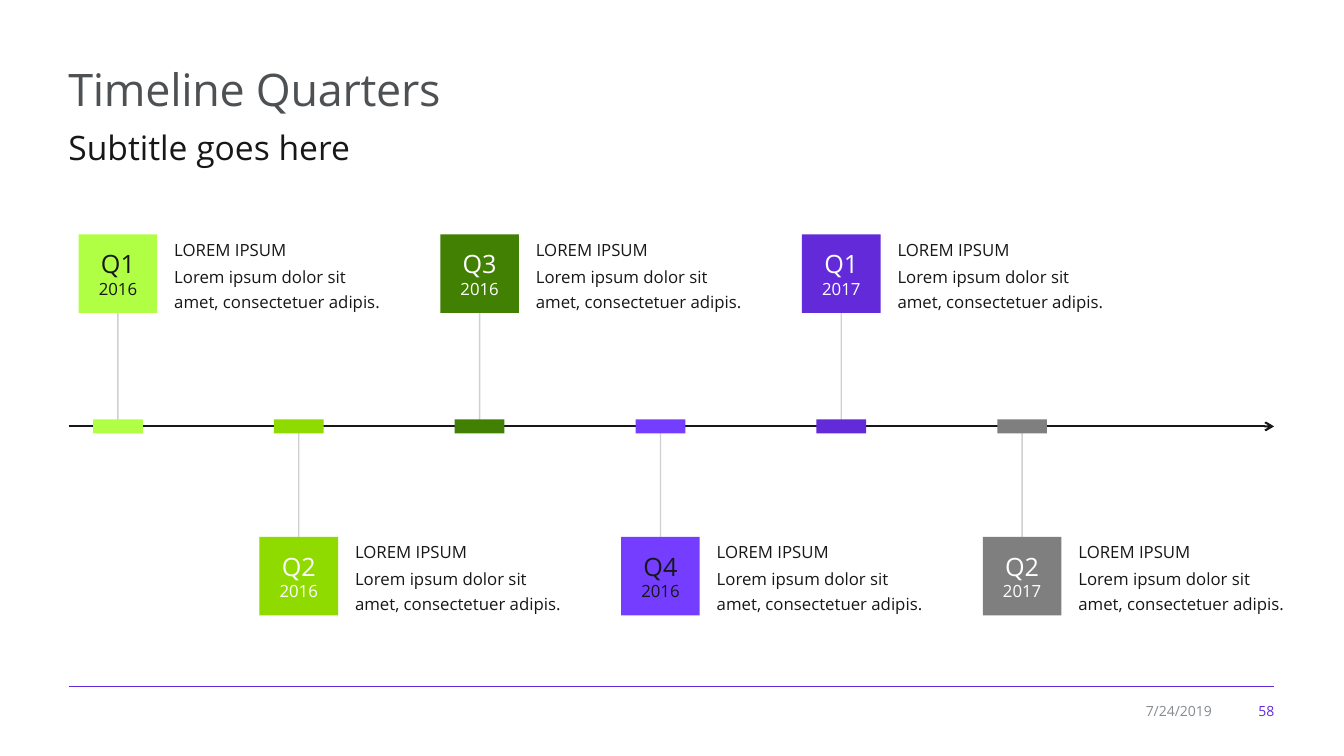
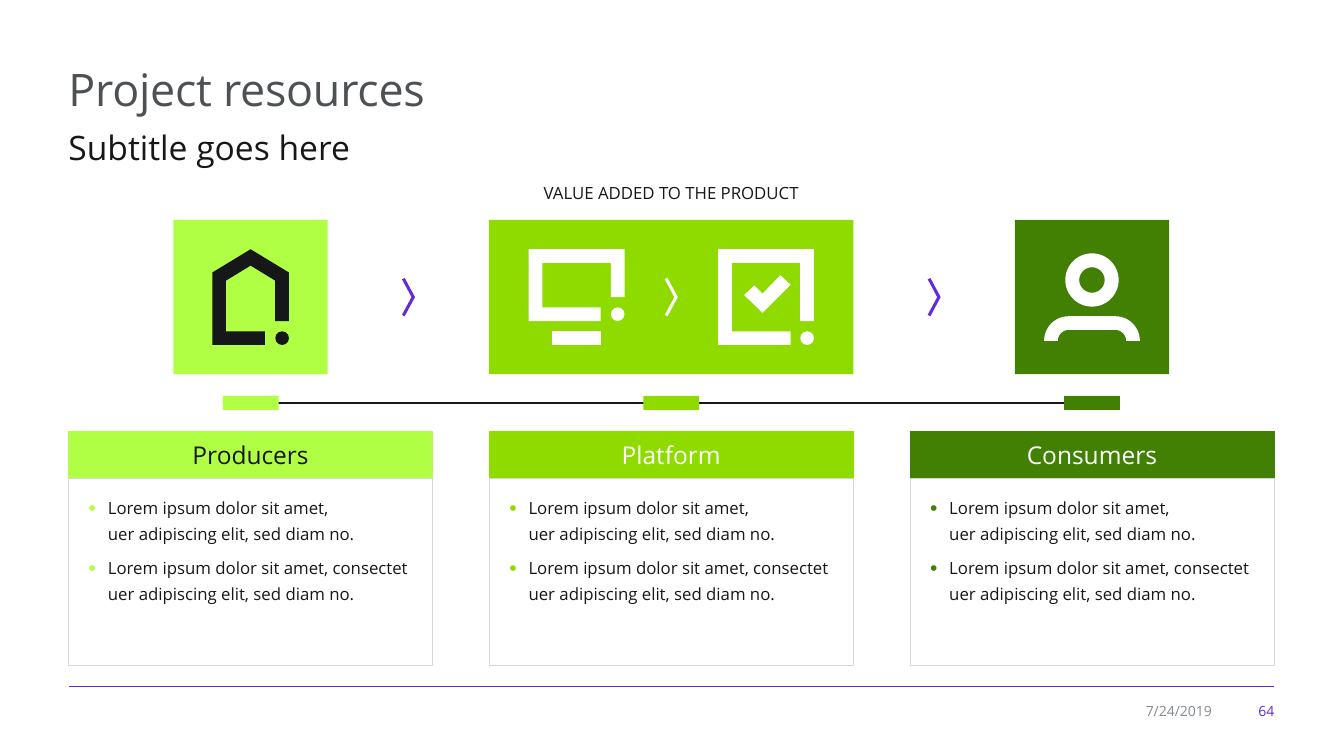
from dataclasses import dataclass
from math import cos, pi, sin

from lxml.etree import SubElement
from pptx import Presentation
from pptx.dml.color import RGBColor
from pptx.enum.shapes import MSO_CONNECTOR, MSO_SHAPE
from pptx.enum.text import MSO_ANCHOR, PP_ALIGN
from pptx.oxml.ns import qn
from pptx.util import Inches, Pt


@dataclass(frozen=True)
class Theme:
    font: str = "Open Sans"
    ink: str = "161718"
    heading: str = "4D5154"
    white: str = "FFFFFF"
    muted: str = "868B90"
    border: str = "D1DADB"
    lime: str = "B0FF45"
    green: str = "8FDB00"
    forest: str = "428003"
    violet: str = "753DFF"
    purple: str = "622AD8"
    gray: str = "7F7F7F"
    title_size: float = 32
    subtitle_size: float = 24
    quarter_size: float = 18
    header_size: float = 17.5
    text_size: float = 12
    footer_size: float = 10


@dataclass(frozen=True)
class TextStyle:
    size: float
    color: str
    align: PP_ALIGN = PP_ALIGN.LEFT
    line_spacing: float = 1.0
    space_after: float = 0
    tracking: int = 0


THEME = Theme()
WIDTH, HEIGHT = 13.33, 7.5


def vw(percent):
    """Share of the slide's width, in inches."""
    return WIDTH * percent / 100


def vh(percent):
    """Share of the slide's height, in inches."""
    return HEIGHT * percent / 100


MARGIN = vw(5.1)
CONTENT = vw(89.7)
TEXT_LEFT = MARGIN - 0.1
GUTTER = vw(4.2)
COLUMN = (CONTENT - 2 * GUTTER) / 3
QUARTER_PITCH = CONTENT * 0.15
MARKER_HEIGHT = 0.14
ICON_UNIT = 0.95 / 7  # stroke width of the icons, drawn on a grid of 7 units


def rgb(color):
    return RGBColor.from_string(color)


def write(frame, paragraphs):
    """Fill a text frame from (text, style) pairs; a newline is a line break."""
    frame.word_wrap = True
    for index, (text, style) in enumerate(paragraphs):
        paragraph = frame.paragraphs[0] if index == 0 else frame.add_paragraph()
        paragraph.alignment = style.align
        paragraph.line_spacing = style.line_spacing
        paragraph.space_after = Pt(style.space_after)
        for number, line in enumerate(text.split("\n")):
            if number:
                paragraph.add_line_break()
            run = paragraph.add_run()
            run.text = line
            run.font.name = THEME.font
            run.font.size = Pt(style.size)
            run.font.color.rgb = rgb(style.color)
            if style.tracking:
                run.font._element.set("spc", str(style.tracking))


def add_text(slide, left, top, width, height, *paragraphs, anchor=MSO_ANCHOR.TOP):
    box = slide.shapes.add_textbox(*map(Inches, (left, top, width, height)))
    write(box.text_frame, paragraphs)
    box.text_frame.vertical_anchor = anchor


def paint(shape, color):
    shape.shadow.inherit = False
    shape.fill.solid()
    shape.fill.fore_color.rgb = rgb(color)
    shape.line.fill.background()


def add_block(slide, center_x, center_y, width, height, color,
              paragraphs=(), kind=MSO_SHAPE.RECTANGLE):
    block = slide.shapes.add_shape(kind, *map(Inches, (
        center_x - width / 2, center_y - height / 2, width, height)))
    paint(block, color)
    if paragraphs:
        block.text_frame.vertical_anchor = MSO_ANCHOR.MIDDLE
        write(block.text_frame, paragraphs)
    return block


def add_line(slide, start, end, color, width, opacity=None, arrow=False):
    line = slide.shapes.add_connector(
        MSO_CONNECTOR.STRAIGHT, *map(Inches, (*start, *end)))
    line.line.color.rgb = rgb(color)
    line.line.width = Pt(width)
    outline = line.line._get_or_add_ln()
    if opacity:
        SubElement(outline.find(".//" + qn("a:srgbClr")), qn("a:alpha"),
                   val=str(opacity * 1000))
    if arrow:
        SubElement(outline, qn("a:tailEnd"), type="arrow")
    SubElement(line._element.spPr, qn("a:effectLst"))


def add_page_frame(slide, title, page):
    add_text(slide, TEXT_LEFT, vh(7.5), CONTENT + 0.2, vh(8.8),
             (title, TextStyle(THEME.title_size, THEME.heading, tracking=-20)))
    add_text(slide, TEXT_LEFT, vh(15.2), CONTENT, vh(7.2),
             ("Subtitle goes here", TextStyle(
                 THEME.subtitle_size, THEME.ink, line_spacing=1.17, space_after=6)))
    rule_y, right = vh(90.8), MARGIN + CONTENT
    add_line(slide, (MARGIN, rule_y), (right, rule_y), THEME.purple, 0.75)
    for text, color, text_right, width in (
            ("7/24/2019", THEME.muted, right - 0.52, 0.95),
            (page, THEME.purple, right + 0.1, 0.51)):
        add_text(slide, text_right - width, vh(92.3), width, vh(3.5),
                 (text, TextStyle(THEME.footer_size, color, PP_ALIGN.RIGHT)),
                 anchor=MSO_ANCHOR.MIDDLE)


def add_quarter(slide, center, axis_y, tile_top, quarter, year, fill, ink):
    tile = vh(10.4)
    tile_middle = tile_top + tile / 2
    add_line(slide, (center, tile_middle), (center, axis_y), THEME.ink, 1, opacity=20)
    add_block(slide, center, axis_y, vw(3.7), MARKER_HEIGHT, fill)
    add_block(slide, center, tile_middle, tile, tile, fill, [
        (quarter, TextStyle(THEME.quarter_size, ink, PP_ALIGN.CENTER)),
        (year, TextStyle(THEME.text_size, ink, PP_ALIGN.CENTER))])
    label_left, label_width = center + 0.46, 2.44
    add_text(slide, label_left, tile_top - 0.04, label_width, 0.32,
             ("LOREM IPSUM", TextStyle(THEME.text_size, THEME.ink, line_spacing=1.2)))
    detail = TextStyle(THEME.text_size, THEME.ink, line_spacing=1.25)
    add_text(slide, label_left, tile_top + 0.22, label_width, 0.61,
             ("Lorem ipsum dolor sit", detail), ("amet, consectetuer adipis.", detail))


def build_timeline(slide):
    add_page_frame(slide, "Timeline Quarters", "58")
    axis_y = vh(56.4)
    add_line(slide, (MARGIN, axis_y), (MARGIN + CONTENT, axis_y),
             THEME.ink, 1.5, arrow=True)
    quarters = (
        ("Q1", "2016", THEME.lime, THEME.ink),
        ("Q2", "2016", THEME.green, THEME.white),
        ("Q3", "2016", THEME.forest, THEME.white),
        ("Q4", "2016", THEME.violet, THEME.ink),
        ("Q1", "2017", THEME.purple, THEME.white),
        ("Q2", "2017", THEME.gray, THEME.white),
    )
    for index, quarter in enumerate(quarters):
        tile_top = vh(71 if index % 2 else 31)
        add_quarter(slide, MARGIN + 0.49 + index * QUARTER_PITCH, axis_y, tile_top, *quarter)


def quarter_arc(center_x, center_y, radius, start, end, steps=12):
    """Points of an arc between two angles, in multiples of pi."""
    angles = [pi * (start + (end - start) * step / steps) for step in range(steps + 1)]
    return [(center_x + radius * cos(a), center_y - radius * sin(a)) for a in angles]


CHEVRON = [(0, 0.1), (0.2, 0), (0.95, 1.4), (0.2, 2.8), (0, 2.7), (0.7, 1.4)]
HOUSE = [(2.8, 0), (5.6, 1.7), (5.6, 5.25), (4.6, 5.25), (4.6, 2.3), (2.8, 1.2),
         (1, 2.3), (1, 6), (3.85, 6), (3.85, 7), (0, 7), (0, 1.7)]
SCREEN = [(0, 0), (7, 0), (7, 3.5), (6, 3.5), (6, 1), (1, 1), (1, 4.25),
          (5.25, 4.25), (5.25, 5.25), (0, 5.25)]
STAND = [(1.7, 6), (5.25, 6), (5.25, 7), (1.7, 7)]
FRAME = [(0, 0), (7, 0), (7, 5.25), (6, 5.25), (6, 1), (1, 1), (1, 6),
         (5.3, 6), (5.3, 7), (0, 7)]
TICK = [(1.9, 3.35), (2.65, 2.65), (3.25, 3.25), (4.55, 1.9), (5.3, 2.6), (3.25, 4.65)]
SHOULDERS = (quarter_arc(1.8, 6.4, 1.8, 1, 0.5) + quarter_arc(5.2, 6.4, 1.8, 0.5, 0)
             + quarter_arc(5.2, 6.4, 0.8, 0, 0.5) + quarter_arc(1.8, 6.4, 0.8, 0.5, 1))


def add_icon(slide, center_x, center_y, columns, rows, color, outlines, dot=None):
    """Draw outlines on a centred grid of icon units; dot is the centre of a one-unit circle."""
    def place(point):
        return (center_x + (point[0] - columns / 2) * ICON_UNIT,
                center_y + (point[1] - rows / 2) * ICON_UNIT)

    for outline in outlines:
        points = [tuple(map(Inches, place(point))) for point in outline]
        builder = slide.shapes.build_freeform(*points[0])
        builder.add_line_segments(points[1:])
        paint(builder.convert_to_shape(), color)
    if dot:
        add_block(slide, *place(dot), ICON_UNIT, ICON_UNIT, color, kind=MSO_SHAPE.OVAL)


def add_person(slide, center_x, center_y, color):
    add_icon(slide, center_x, center_y, 7, 6.4, color, [SHOULDERS])
    head = 3.9 * ICON_UNIT
    ring = add_block(slide, center_x, center_y - 3.2 * ICON_UNIT + head / 2,
                     head, head, color, kind=MSO_SHAPE.DONUT)
    ring.adjustments[0] = 0.26


def style_cell(cell, border, fill=None):
    properties = cell._tc.get_or_add_tcPr()
    for side in ("lnL", "lnR", "lnT", "lnB"):
        edge = SubElement(properties, qn("a:" + side), w=str(Pt(0.5)))
        SubElement(SubElement(edge, qn("a:solidFill")), qn("a:srgbClr"), val=border)
    if fill:
        cell.fill.solid()
        cell.fill.fore_color.rgb = rgb(fill)
    else:
        cell.fill.background()


def add_bullet(paragraph, color):
    properties = paragraph._p.get_or_add_pPr()
    properties.set("marL", str(Inches(0.19)))
    properties.set("indent", str(-Inches(0.19)))
    SubElement(SubElement(properties, qn("a:buClr")), qn("a:srgbClr"), val=color)
    SubElement(properties, qn("a:buSzPct"), val="125000")
    SubElement(properties, qn("a:buFont"), typeface="Arial")
    SubElement(properties, qn("a:buChar"), char="•")


def add_card(slide, left, heading, color, ink):
    rows = (vh(6.2), vh(24.7))
    table = slide.shapes.add_table(
        2, 1, *map(Inches, (left, vh(57.1), COLUMN, sum(rows)))).table
    table.first_row = table.horz_banding = False
    for row, height in zip(table.rows, rows):
        row.height = Inches(height)
    header, body = table.cell(0, 0), table.cell(1, 0)
    style_cell(header, color, color)
    style_cell(body, THEME.border)
    header.vertical_anchor = MSO_ANCHOR.MIDDLE
    write(header.text_frame, [
        (heading, TextStyle(THEME.header_size, ink, PP_ALIGN.CENTER))])
    body.margin_left, body.margin_top = Inches(0.2), Inches(0.16)
    item = TextStyle(THEME.text_size, THEME.ink, line_spacing=1.1, space_after=7)
    write(body.text_frame, [
        ("Lorem ipsum dolor sit amet,\nuer adipiscing elit, sed diam no.", item),
        ("Lorem ipsum dolor sit amet, consectet uer adipiscing elit, sed diam no.", item)])
    for paragraph in body.text_frame.paragraphs:
        add_bullet(paragraph, color)


def build_resources(slide):
    add_page_frame(slide, "Project resources", "64")
    tile, tile_y, axis_y = vh(20.4), vh(39.3), vh(53.3)
    stages = (
        ("Producers", THEME.lime, THEME.ink, tile),
        ("Platform", THEME.green, THEME.white, COLUMN),
        ("Consumers", THEME.forest, THEME.white, tile),
    )
    lefts = [MARGIN + index * (COLUMN + GUTTER) for index in range(3)]
    centers = [left + COLUMN / 2 for left in lefts]
    producers, platform, consumers = centers

    add_line(slide, (producers, axis_y), (consumers, axis_y), THEME.ink, 1.5)
    for left, center, (heading, color, ink, tile_width) in zip(lefts, centers, stages):
        add_block(slide, center, tile_y, tile_width, tile, color)
        add_block(slide, center, axis_y, vw(4.15), MARKER_HEIGHT, color)
        add_card(slide, left, heading, color, ink)
    add_text(slide, platform - COLUMN / 2, vh(23.5), COLUMN, vh(4),
             ("VALUE ADDED TO THE PRODUCT",
              TextStyle(THEME.text_size, THEME.ink, PP_ALIGN.CENTER)))

    arrow_offset = (COLUMN / 2 + COLUMN + GUTTER - tile / 2) / 2
    for offset, color in ((-arrow_offset, THEME.purple), (0, THEME.white),
                          (arrow_offset, THEME.purple)):
        add_icon(slide, platform + offset, tile_y, 0.95, 2.8, color, [CHEVRON])

    icon_offset = COLUMN * 0.26
    add_icon(slide, producers, tile_y, 5.6, 7, THEME.ink, [HOUSE], (5.1, 6.5))
    add_icon(slide, platform - icon_offset, tile_y, 7, 7, THEME.white,
             [SCREEN, STAND], (6.5, 4.75))
    add_icon(slide, platform + icon_offset, tile_y, 7, 7, THEME.white,
             [FRAME, TICK], (6.5, 6.5))
    add_person(slide, consumers, tile_y, THEME.white)


def main():
    deck = Presentation()
    deck.slide_width, deck.slide_height = Inches(WIDTH), Inches(HEIGHT)
    blank = deck.slide_layouts[6]
    for build in (build_timeline, build_resources):
        build(deck.slides.add_slide(blank))
    deck.save("out.pptx")


if __name__ == "__main__":
    main()
